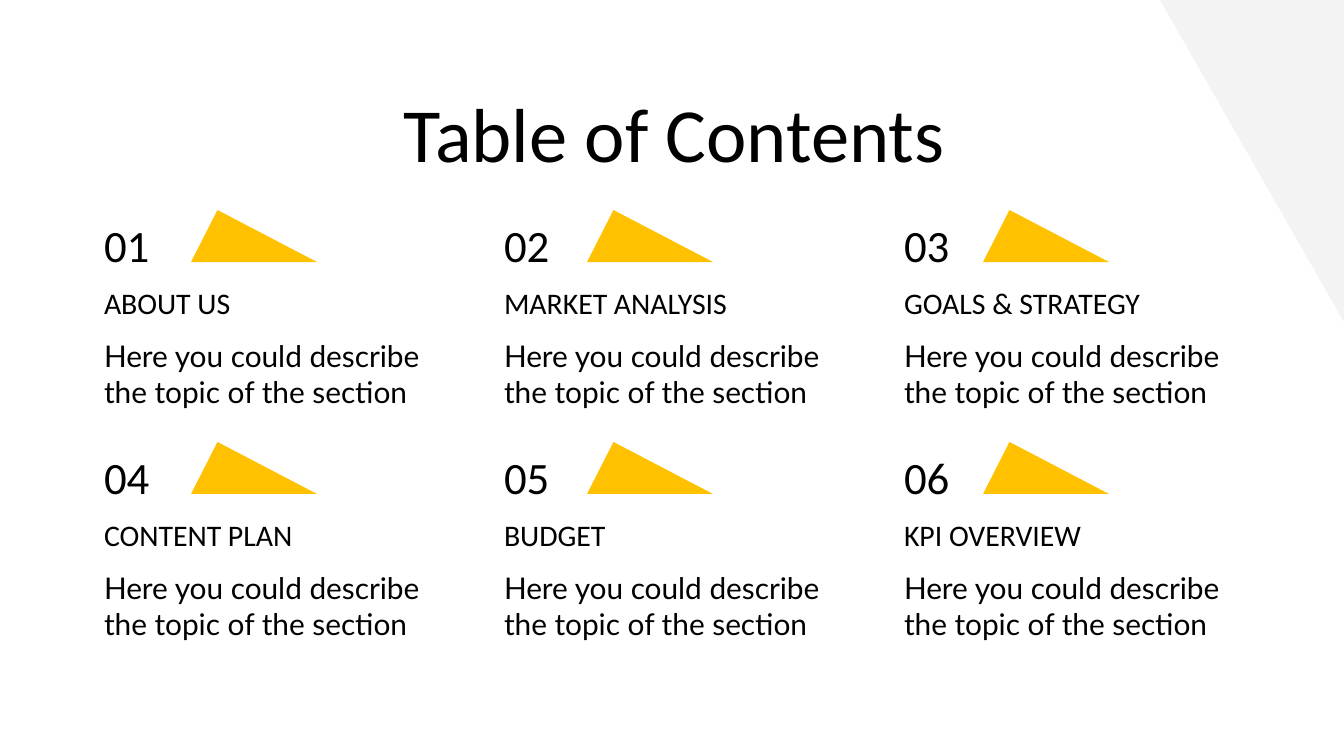
from dataclasses import dataclass

from pptx import Presentation
from pptx.dml.color import RGBColor
from pptx.enum.shapes import MSO_SHAPE as Preset
from pptx.enum.text import MSO_ANCHOR as Anchor, MSO_AUTO_SIZE as AutoSize, PP_ALIGN as Align
from pptx.shapes.autoshape import Shape
from pptx.slide import Slide
from pptx.util import Emu, Pt

EMU_PER_PX = 914400 / 134.4
SLIDE_WIDTH, SLIDE_HEIGHT = 1344, 756
COLUMNS = 3
TEXT_LEFT, TEXT_PITCH = 91, 400
MARKER_LEFT, MARKER_PITCH = 191, 396
ROW_PITCH = 232
LINE_HEIGHT = 52
INSET = 13

BLACK, YELLOW, PALE_GREY = "000000", "FFC100", "F3F3F3"
DESCRIPTION = ("Here you could describe", "the topic of the section")


@dataclass(frozen=True)
class Box:
    left: int
    top: int
    width: int
    height: int


@dataclass(frozen=True)
class TextStyle:
    font: str
    size: int
    align: Align = Align.LEFT
    anchor: Anchor = Anchor.TOP


TITLE = TextStyle("Calibri", 41, align=Align.CENTER)
NUMBER = TextStyle("Calibri", 24, anchor=Anchor.MIDDLE)
HEADING = TextStyle("Calibri", 16)
BODY = TextStyle("Lato", 16)


def px(length: int) -> Emu:
    return Emu(round(length * EMU_PER_PX))


def color(hex_code: str) -> RGBColor:
    return RGBColor.from_string(hex_code)


def edges(box: Box) -> tuple[Emu, Emu, Emu, Emu]:
    return px(box.left), px(box.top), px(box.width), px(box.height)


def write(holder: Shape, lines: tuple[str, ...], style: TextStyle) -> None:
    """Fill a text holder with one paragraph per line."""
    frame = holder.text_frame
    frame.text = "\n".join(lines)
    frame.word_wrap = True
    frame.auto_size = AutoSize.NONE
    frame.vertical_anchor = style.anchor
    frame.margin_left = frame.margin_right = px(INSET)
    frame.margin_top = frame.margin_bottom = px(INSET)
    for paragraph in frame.paragraphs:
        paragraph.alignment = style.align
        paragraph.font.name = style.font
        paragraph.font.size = Pt(style.size)
        paragraph.font.color.rgb = color(BLACK)


def add_text(slide: Slide, box: Box, lines: tuple[str, ...], style: TextStyle) -> None:
    write(slide.shapes.add_textbox(*edges(box)), lines, style)


def add_triangle(slide: Slide, preset: Preset, box: Box, fill: str) -> Shape:
    triangle = slide.shapes.add_shape(preset, *edges(box))
    triangle.shadow.inherit = False
    triangle.fill.solid()
    triangle.fill.fore_color.rgb = color(fill)
    triangle.line.fill.background()
    return triangle


def add_section(slide: Slide, index: int, heading: str) -> None:
    """Place a numbered section in the grid, counting from zero."""
    row, column = divmod(index, COLUMNS)
    down = row * ROW_PITCH
    left = TEXT_LEFT + column * TEXT_PITCH
    marker_left = MARKER_LEFT + column * MARKER_PITCH

    marker = add_triangle(slide, Preset.ISOSCELES_TRIANGLE,
                          Box(marker_left, 210 + down, 126, 52), YELLOW)
    marker.adjustments[0] = 0.21
    add_text(slide, Box(left, 219 + down, 159, LINE_HEIGHT), (f"{index + 1:02}",), NUMBER)
    add_text(slide, Box(left, 272 + down, 317, LINE_HEIGHT), (heading,), HEADING)
    add_text(slide, Box(left, 325 + down, 382, LINE_HEIGHT), DESCRIPTION, BODY)


def main() -> None:
    deck = Presentation()
    deck.slide_width, deck.slide_height = px(SLIDE_WIDTH), px(SLIDE_HEIGHT)
    slide = deck.slides.add_slide(deck.slide_layouts.get_by_name("Title Only"))

    corner = add_triangle(slide, Preset.RIGHT_TRIANGLE, Box(1160, 0, 184, 322), PALE_GREY)
    corner.rotation = 180

    title = slide.shapes.title
    title.left, title.top, title.width, title.height = edges(Box(79, 73, 1191, 85))
    write(title, ("Table of Contents",), TITLE)

    headings = ("ABOUT US", "MARKET ANALYSIS", "GOALS & STRATEGY",
                "CONTENT PLAN", "BUDGET", "KPI OVERVIEW")
    for index, heading in enumerate(headings):
        add_section(slide, index, heading)

    deck.save("out.pptx")


if __name__ == "__main__":
    main()
